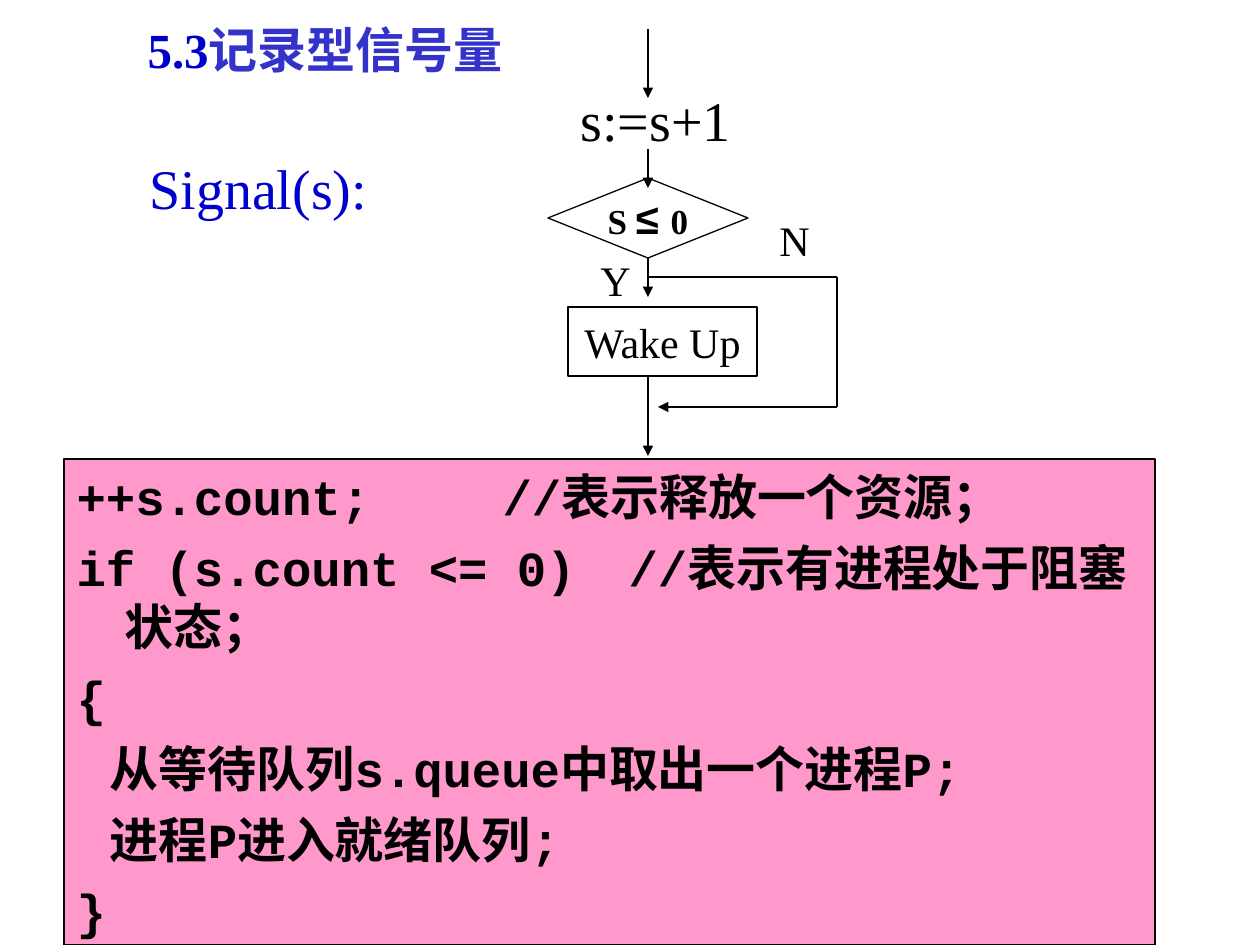
from lxml import etree
from pptx import Presentation
from pptx.dml.color import RGBColor
from pptx.enum.shapes import MSO_CONNECTOR, MSO_SHAPE
from pptx.enum.text import MSO_ANCHOR, MSO_AUTO_SIZE, PP_ALIGN
from pptx.oxml.ns import qn
from pptx.util import Pt

EMU_PER_PX = 914400 / 126
STRAIGHT = MSO_CONNECTOR.STRAIGHT
RECTANGLE = MSO_SHAPE.RECTANGLE
DECISION = MSO_SHAPE.FLOWCHART_DECISION
TOP, MIDDLE = MSO_ANCHOR.TOP, MSO_ANCHOR.MIDDLE
LEFT, CENTER = PP_ALIGN.LEFT, PP_ALIGN.CENTER
NO_RESIZE = MSO_AUTO_SIZE.NONE
BOTTOM_SITE = 2

SERIF, SANS, MONO = "Times New Roman", "Arial", "Courier New"
BLACK, WHITE, PINK = "000000", "FFFFFF", "FF99CC"
BLUE, VIOLET = "0000CC", "3333CC"
TAB_COUNT = 8
TAB_STEP = 126
CODE_INDENT = 48
FLOW_X = 648
BYPASS_X = 837
CODE_LINES = [
    "++s.count;\t\t//表示释放一个资源；",
    "if (s.count <= 0)\t//表示有进程处于阻塞状态；",
    "{",
    "   从等待队列s.queue中取出一个进程P;",
    "   进程P进入就绪队列;",
    "}",
]


def px(value):
    return round(value * EMU_PER_PX)


def color(value):
    return RGBColor.from_string(value)


def style_run(run, size, font=SERIF, fill=BLACK, bold=False):
    run.font.size = Pt(size)
    run.font.name = font
    run.font.bold = bold
    run.font.color.rgb = color(fill)


def add_run(paragraph, text, *style):
    run = paragraph.add_run()
    run.text = text
    style_run(run, *style)


def place(shape, left, top, width, height):
    shape.left, shape.top = px(left), px(top)
    shape.width, shape.height = px(width), px(height)


def set_frame(frame, anchor, wrap):
    frame.auto_size = NO_RESIZE
    frame.vertical_anchor = anchor
    frame.word_wrap = wrap


def add_label(slide, box, text, size, fill=BLACK):
    label = slide.shapes.add_textbox(*map(px, box))
    set_frame(label.text_frame, TOP, False)
    label.text_frame.text = text
    paragraph = label.text_frame.paragraphs[0]
    paragraph.alignment = LEFT
    style_run(paragraph.runs[0], size, SERIF, fill)


def add_box(slide, kind, box, fill, *runs):
    shape = slide.shapes.add_shape(kind, *map(px, box))
    shape.shadow.inherit = False
    shape.fill.solid()
    shape.fill.fore_color.rgb = color(fill)
    shape.line.color.rgb = color(BLACK)
    shape.line.width = Pt(0.75)
    if runs:
        set_frame(shape.text_frame, MIDDLE, False)
        paragraph = shape.text_frame.paragraphs[0]
        paragraph.alignment = CENTER
        for run in runs:
            add_run(paragraph, *run)
    return shape


def add_line(slide, start, end, arrow=True):
    points = map(px, (*start, *end))
    connector = slide.shapes.add_connector(STRAIGHT, *points)
    connector.line.color.rgb = color(BLACK)
    connector.line.width = Pt(1.5)
    if arrow:
        line = connector.line._get_or_add_ln()
        etree.SubElement(line, qn("a:tailEnd"), type="triangle")
    etree.SubElement(connector._element.spPr, qn("a:effectLst"))
    return connector


def fill_title(title):
    place(title, 135, 20, 392, 66)
    set_frame(title.text_frame, TOP, False)
    paragraph = title.text_frame.paragraphs[0]
    paragraph.alignment = LEFT
    paragraph.line_spacing = 0.9
    add_run(paragraph, "5.3", 28, SERIF, BLUE, True)
    add_run(paragraph, "记录型信号量", 28, SERIF, VIOLET, True)


def set_code_layout(paragraph):
    properties = paragraph._p.get_or_add_pPr()
    properties.set("marL", str(px(CODE_INDENT)))
    properties.set("indent", str(-px(CODE_INDENT)))
    properties.set("defTabSz", str(px(TAB_STEP)))
    etree.SubElement(properties, qn("a:buNone"))
    tabs = etree.SubElement(properties, qn("a:tabLst"))
    for index in range(TAB_COUNT):
        position = str(px(index * TAB_STEP))
        etree.SubElement(tabs, qn("a:tab"), pos=position, algn="l")


def fill_code(body):
    place(body, 64, 460, 1106, 460)
    frame = body.text_frame
    set_frame(frame, TOP, True)
    frame.text = "\n".join(CODE_LINES)
    for index, paragraph in enumerate(frame.paragraphs):
        set_code_layout(paragraph)
        paragraph.space_before = Pt(7 if index else 0)
        style_run(paragraph.runs[0], 28, MONO, BLACK, True)


def draw_flow(slide):
    add_label(slide, (568, 79, 175, 81), "s:=s+1", 32)
    decision = add_box(
        slide, DECISION, (548, 178, 200, 80), WHITE,
        ("S ", 20, SERIF, BLACK, True),
        ("≤ ", 24, SANS, BLACK, True),
        ("0", 20, SERIF, BLACK, True),
    )
    add_box(slide, RECTANGLE, (568, 307, 189, 69), WHITE, ("Wake Up", 24))
    for top, bottom in ((29, 98), (149, 188), (377, 456)):
        add_line(slide, (FLOW_X, top), (FLOW_X, bottom))
    yes_arrow = add_line(slide, (FLOW_X, 258), (FLOW_X, 297))
    yes_arrow.begin_connect(decision, BOTTOM_SITE)
    add_line(slide, (FLOW_X, 277), (BYPASS_X, 277), arrow=False)
    add_line(slide, (BYPASS_X, 277), (BYPASS_X, 407), arrow=False)
    add_line(slide, (BYPASS_X, 407), (658, 407))
    add_label(slide, (588, 248, 69, 63), "Y", 24)
    add_label(slide, (767, 208, 69, 63), "N", 24)


def main():
    presentation = Presentation()
    presentation.slide_width = px(1260)
    presentation.slide_height = px(945)
    slide = presentation.slides.add_slide(presentation.slide_layouts[1])
    title, body = slide.placeholders
    fill_title(title)
    add_label(slide, (137, 147, 243, 81), "Signal(s):", 32, BLUE)
    draw_flow(slide)
    panel = add_box(slide, RECTANGLE, (64, 459, 1091, 486), PINK)
    panel._element.addnext(body._element)
    fill_code(body)
    presentation.save("out.pptx")


if __name__ == "__main__":
    main()
